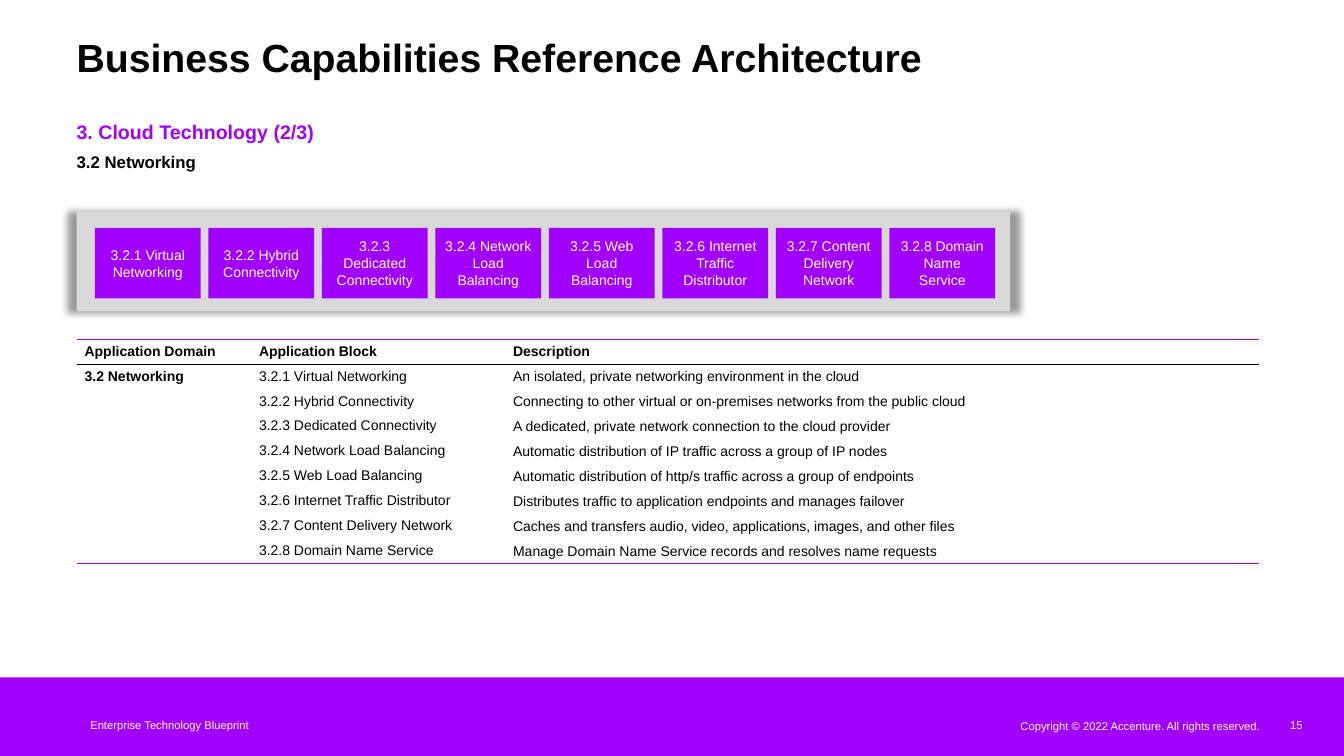
from dataclasses import dataclass

from lxml import etree
from pptx import Presentation
from pptx.dml.color import RGBColor
from pptx.enum.shapes import MSO_SHAPE
from pptx.enum.text import MSO_ANCHOR, MSO_AUTO_SIZE, PP_ALIGN
from pptx.oxml.ns import qn
from pptx.util import Inches, Pt

RECTANGLE = MSO_SHAPE.RECTANGLE
TOP, MIDDLE = MSO_ANCHOR.TOP, MSO_ANCHOR.MIDDLE
LEFT, CENTER, RIGHT = PP_ALIGN.LEFT, PP_ALIGN.CENTER, PP_ALIGN.RIGHT
NO_AUTOFIT = MSO_AUTO_SIZE.NONE
NO_TABLE_STYLE = "{2D5ABB26-0587-4C30-8999-92F81FD0307C}"


@dataclass(frozen=True)
class Theme:
    font: str = "Arial"
    accent: str = "A100FF"
    panel: str = "D9D9D9"
    dark: str = "000000"
    light: str = "FFFFFF"
    title_size: int = 28
    section_size: int = 14
    subsection_size: int = 12
    body_size: int = 10
    footer_size: int = 8


THEME = Theme()
DOMAIN = "3.2 Networking"
HEADERS = ["Application Domain", "Application Block", "Description"]
COLUMN_WIDTHS = [1.73, 2.52, 7.48]
BLOCKS = [
    ("3.2.1 Virtual Networking", "An isolated, private networking environment in the cloud"),
    ("3.2.2 Hybrid Connectivity",
     "Connecting to other virtual or on-premises networks from the public cloud"),
    ("3.2.3 Dedicated Connectivity",
     "A dedicated, private network connection to the cloud provider"),
    ("3.2.4 Network Load Balancing",
     "Automatic distribution of IP traffic across a group of IP nodes"),
    ("3.2.5 Web Load Balancing",
     "Automatic distribution of http/s traffic across a group of endpoints"),
    ("3.2.6 Internet Traffic Distributor",
     "Distributes traffic to application endpoints and manages failover"),
    ("3.2.7 Content Delivery Network",
     "Caches and transfers audio, video, applications, images, and other files"),
    ("3.2.8 Domain Name Service",
     "Manage Domain Name Service records and resolves name requests"),
]


def write(text_frame, text, size, color, bold=False, align=LEFT):
    text_frame.text = text
    paragraph = text_frame.paragraphs[0]
    paragraph.alignment = align
    paragraph.font.name = THEME.font
    paragraph.font.size = Pt(size)
    paragraph.font.bold = bold
    paragraph.font.color.rgb = RGBColor.from_string(color)
    return paragraph


def remove_insets(text_frame):
    text_frame.margin_left = text_frame.margin_right = 0
    text_frame.margin_top = text_frame.margin_bottom = 0


def add_title(slide, text):
    title = slide.shapes.title
    title.left, title.top = Inches(0.76), Inches(0.42)
    title.width, title.height = Inches(12.16), Inches(0.38)
    frame = title.text_frame
    remove_insets(frame)
    frame.auto_size = NO_AUTOFIT
    frame.vertical_anchor = TOP
    paragraph = write(frame, text, THEME.title_size, THEME.dark, bold=True)
    paragraph.line_spacing = 0.8


def add_label(slide, box, text, size, color, bold=False, align=LEFT, anchor=TOP):
    label = slide.shapes.add_textbox(*map(Inches, box))
    frame = label.text_frame
    frame.word_wrap = True
    frame.vertical_anchor = anchor
    remove_insets(frame)
    write(frame, text, size, color, bold, align)


def add_rectangle(slide, box, color):
    rectangle = slide.shapes.add_shape(RECTANGLE, *map(Inches, box))
    rectangle.shadow.inherit = False
    rectangle.fill.solid()
    rectangle.fill.fore_color.rgb = RGBColor.from_string(color)
    rectangle.line.fill.background()
    return rectangle


def add_glow_shadow(shape):
    """Give the shape a centred soft shadow, slightly wider than the shape."""
    effects = shape._element.spPr.find(qn("a:effectLst"))
    shadow = etree.SubElement(effects, qn("a:outerShdw"), blurRad=str(Pt(5)),
                              sx="102000", sy="102000", algn="ctr", rotWithShape="0")
    color = etree.SubElement(shadow, qn("a:srgbClr"), val=THEME.dark)
    etree.SubElement(color, qn("a:alpha"), val="40000")


def add_block_tiles(slide):
    add_glow_shadow(add_rectangle(slide, (0.76, 2.1, 9.26, 0.99), THEME.panel))
    first_left, last_left = 0.94, 8.82
    pitch = (last_left - first_left) / (len(BLOCKS) - 1)
    for index, (name, _) in enumerate(BLOCKS):
        box = (first_left + index * pitch, 2.26, 1.05, 0.7)
        tile = add_rectangle(slide, box, THEME.accent)
        tile.text_frame.word_wrap = True
        tile.text_frame.vertical_anchor = MIDDLE
        write(tile.text_frame, name, THEME.body_size, THEME.light, align=CENTER)


def set_border(cell, side, color):
    """Draw a one-point line on a side: lnT for top, lnB for bottom."""
    line = etree.Element(qn(f"a:{side}"), w=str(Pt(1)))
    fill = etree.SubElement(line, qn("a:solidFill"))
    etree.SubElement(fill, qn("a:srgbClr"), val=color)
    properties = cell._tc.get_or_add_tcPr()
    position = len(properties.findall(qn("a:lnT")))
    properties.insert(position, line)


def add_block_table(slide):
    rows = [HEADERS] + [("", *block) for block in BLOCKS]
    rows[1] = (DOMAIN, *BLOCKS[0])
    last = len(rows) - 1
    table = slide.shapes.add_table(len(rows), len(HEADERS), Inches(0.76), Inches(3.37),
                                   Inches(sum(COLUMN_WIDTHS)), Inches(2.11)).table
    table._tbl.tblPr.find(qn("a:tableStyleId")).text = NO_TABLE_STYLE
    table.horz_banding = False
    for column, width in zip(table.columns, COLUMN_WIDTHS):
        column.width = Inches(width)
    for row_index, row in enumerate(rows):
        for column_index, text in enumerate(row):
            cell = table.cell(row_index, column_index)
            cell.margin_left = cell.margin_right = Inches(0.08)
            cell.margin_top = cell.margin_bottom = Inches(0.04)
            is_description = row_index > 0 and column_index == 2
            cell.vertical_anchor = MIDDLE if is_description else TOP
            cell.fill.background()
            write(cell.text_frame, text, THEME.body_size, THEME.dark,
                  bold=row_index == 0 or column_index == 0)
            if row_index == 0:
                set_border(cell, "lnT", THEME.accent)
                set_border(cell, "lnB", THEME.dark)
            if row_index == last or (row_index == 1 and column_index == 0):
                set_border(cell, "lnB", THEME.accent)
    table.cell(1, 0).merge(table.cell(last, 0))


def add_footer(slide):
    add_rectangle(slide, (0, 6.72, 13.33, 0.78), THEME.accent)
    for box, text in [
        ((9.1, 7.09, 3.4, 0.22), "Copyright © 2022 Accenture. All rights reserved."),
        ((12.5, 7.08, 0.42, 0.23), "15"),
        ((0.74, 7.13, 1.73, 0.13), "Enterprise Technology Blueprint"),
    ]:
        add_label(slide, box, text, THEME.footer_size, THEME.light, align=RIGHT, anchor=MIDDLE)


def main():
    presentation = Presentation()
    presentation.slide_width, presentation.slide_height = Inches(13.33), Inches(7.5)
    slide = presentation.slides.add_slide(presentation.slide_layouts[5])
    add_footer(slide)
    add_title(slide, "Business Capabilities Reference Architecture")
    add_label(slide, (0.76, 1.19, 12.16, 0.24), "3. Cloud Technology (2/3)",
              THEME.section_size, THEME.accent, bold=True)
    add_label(slide, (0.76, 1.51, 2.32, 0.49), DOMAIN,
              THEME.subsection_size, THEME.dark, bold=True)
    add_block_tiles(slide)
    add_block_table(slide)
    presentation.save("out.pptx")


if __name__ == "__main__":
    main()
